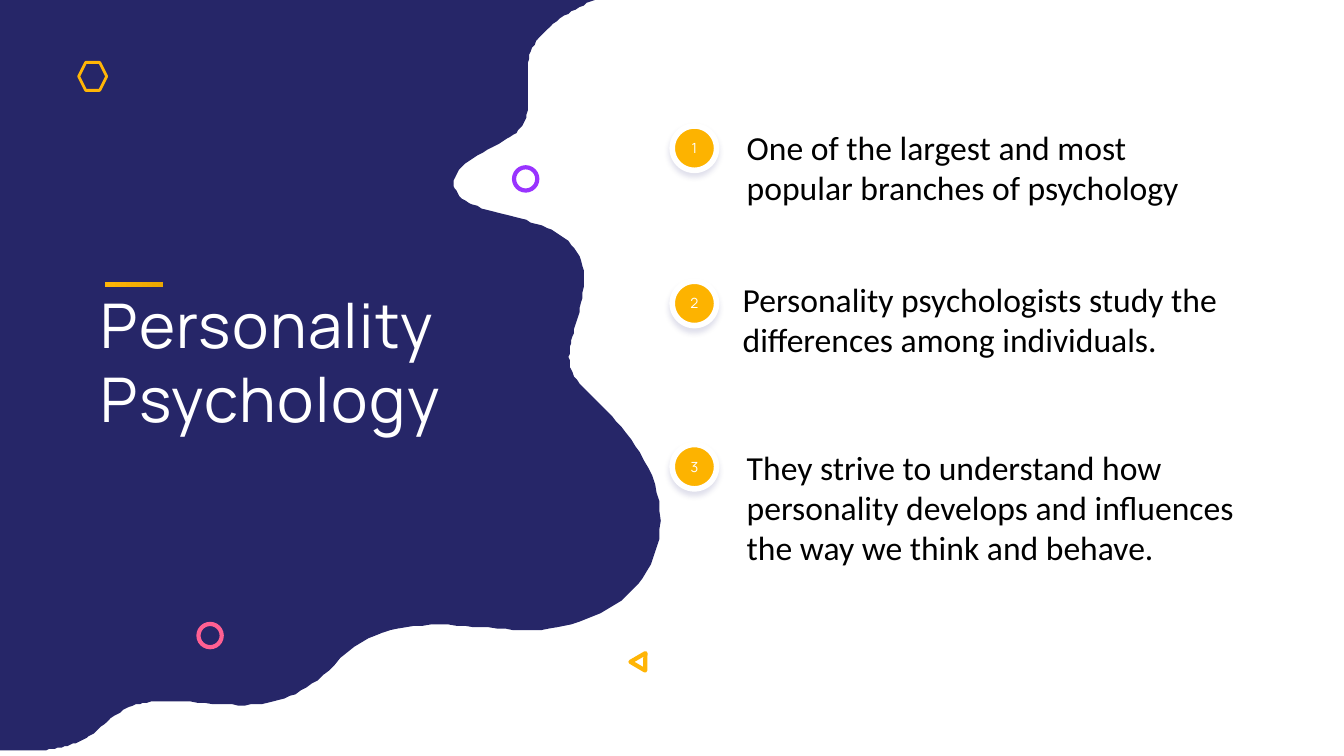
from dataclasses import dataclass

from lxml.etree import SubElement as Sub
from pptx import Presentation
from pptx.dml.color import RGBColor
from pptx.enum.shapes import MSO_SHAPE as Kind
from pptx.enum.text import MSO_ANCHOR as Anchor, MSO_AUTO_SIZE as Fit, PP_ALIGN as Align
from pptx.oxml.ns import qn
from pptx.util import Pt

NAVY = RGBColor(0x26, 0x26, 0x68)
WHITE = RGBColor(0xFF, 0xFF, 0xFF)
BLACK = RGBColor(0, 0, 0)
GOLD = RGBColor(0xFD, 0xB3, 0x00)
AMBER = RGBColor(0xFF, 0xB5, 0x06)
OCHRE = RGBColor(0xEA, 0xA7, 0x02)
PINK = RGBColor(0xFF, 0x60, 0x92)
VIOLET = RGBColor(0x99, 0x33, 0xFF)
SHADE = RGBColor(0x2D, 0x2D, 0x7D)

Box = tuple[float, float, float, float]
Point = tuple[float, float]


@dataclass
class Accent:
    kind: Kind
    box: Box
    color: RGBColor
    width: float = 3
    turn: float = 0


@dataclass
class Item:
    dot: float
    left: float
    top: float
    width: float
    height: float
    lines: tuple[str, ...]


ACCENTS = [
    Accent(Kind.OVAL, (141.8, 445.7, 16.6, 16.6), PINK),
    Accent(Kind.OVAL, (367.2, 119.5, 16.6, 16.6), VIOLET),
    Accent(Kind.ISOSCELES_TRIANGLE, (452.2, 465.8, 12.2, 10.8), AMBER, turn=30.4),
    Accent(Kind.HEXAGON, (56.2, 44.6, 20, 20), AMBER, width=2),
]

ITEMS = [
    Item(90, 526.3, 87.1, 358.6, 65.5,
         ("One of the largest and most popular branches of psychology",)),
    Item(200.9, 523.4, 195.8, 358.6, 65.5,
         ("Personality psychologists study the", "differences among individuals.")),
    Item(317.5, 526.3, 315.4, 375.8, 94.3,
         ("They strive to understand how personality develops and influences "
          "the way we think and behave.",)),
]

# Wave edge: start point, then two handles and an end point per curve
START = (23, 536.4)
CURVES = [
    ((38.2, 535.7), (58.3, 532.1), (69.8, 521.3)),
    ((90.7, 502.6), (97.9, 499), (141.1, 501.8)),
    ((184.3, 505.4), (208.1, 506.9), (243.4, 470.2)),
    ((278.6, 433.4), (335.5, 450), (376.6, 450)),
    ((416.9, 450), (471.6, 428.4), (471.6, 371.5)),
    ((471.6, 315.4), (418.3, 285.1), (409, 266.4)),
    ((400.3, 248.4), (416.9, 230.4), (416.9, 197.3)),
    ((416.9, 164.2), (378.7, 158.4), (347.8, 149.8)),
    ((316.1, 141.1), (316.1, 122.4), (348.5, 106.6)),
    ((380.9, 90.7), (377.3, 87.1), (377.3, 47.5)),
    ((377.3, 24.5), (403.2, 9.4), (424.8, 0)),
]
STEPS = 24

FRAME = {"word_wrap": True, "auto_size": Fit.NONE, "vertical_anchor": Anchor.TOP}
INSETS = dict.fromkeys(
    ("margin_left", "margin_right", "margin_top", "margin_bottom"), Pt(0))
HEAD = {"name": "Manrope", "size": Pt(44)}
BODY = {"name": "Calibri", "size": Pt(24)}
DIGIT = {"name": "Manrope", "size": Pt(10)}


def apply(target: object, values: dict) -> None:
    for name, value in values.items():
        setattr(target, name, value)


def place(box: Box) -> list[Pt]:
    return [Pt(v) for v in box]


def write(frame, lines: tuple[str, ...], font: dict, color: RGBColor,
          align: Align = Align.LEFT) -> None:
    for i, line in enumerate(lines):
        para = frame.add_paragraph() if i else frame.paragraphs[0]
        para.alignment = align
        run = para.add_run()
        run.text = line
        apply(run.font, font)
        run.font.color.rgb = color


def curve(a: Point, b: Point, c: Point, d: Point) -> list[Point]:
    def at(t: float, axis: int) -> float:
        u = 1 - t
        return (u ** 3 * a[axis] + 3 * u * u * t * b[axis]
                + 3 * u * t * t * c[axis] + t ** 3 * d[axis])
    return [(at(i / STEPS, 0), at(i / STEPS, 1)) for i in range(1, STEPS + 1)]


def draw_wave(slide):
    points = [(0, 536.4), START]
    for bend in CURVES:
        points += curve(points[-1], *bend)
    pen = slide.shapes.build_freeform(0, 0, scale=Pt(1))
    pen.add_line_segments(points, close=True)
    wave = pen.convert_to_shape()
    wave.shadow.inherit = False
    wave.fill.solid()
    wave.fill.fore_color.rgb = NAVY
    wave.line.fill.background()
    return wave


def draw_accent(slide, mark: Accent) -> None:
    shape = slide.shapes.add_shape(mark.kind, *place(mark.box))
    shape.shadow.inherit = False
    shape.rotation = mark.turn
    shape.fill.background()
    shape.line.color.rgb = mark.color
    shape.line.width = Pt(mark.width)


def draw_dot(slide, top: float, label: str) -> None:
    dot = slide.shapes.add_shape(Kind.OVAL, *place((480.2, top, 31.7, 31.7)))
    dot.shadow.inherit = False
    dot.fill.solid()
    dot.fill.fore_color.rgb = GOLD
    dot.line.color.rgb = WHITE
    dot.line.width = Pt(4)
    # Soft shadow below the dot
    effect = dot._element.spPr.find(qn("a:effectLst"))
    outer = Sub(effect, qn("a:outerShdw"), blurRad=str(Pt(4)), dist=str(Pt(3)),
                dir="5400000", algn="t", rotWithShape="0")
    tint = Sub(outer, qn("a:srgbClr"), val=str(SHADE))
    Sub(tint, qn("a:alpha"), val="14000")
    frame = dot.text_frame
    apply(frame, INSETS | {"vertical_anchor": Anchor.MIDDLE})
    write(frame, (label,), DIGIT, WHITE, Align.CENTER)


def draw_item(slide, index: int, item: Item) -> None:
    draw_dot(slide, item.dot, str(index))
    box = slide.shapes.add_textbox(
        *place((item.left, item.top, item.width, item.height)))
    apply(box.text_frame, FRAME)
    write(box.text_frame, item.lines, BODY, BLACK)


def draw_bar(slide) -> None:
    bar = slide.shapes.add_shape(Kind.RECTANGLE, *place((74.9, 201.6, 41.4, 3.6)))
    bar.shadow.inherit = False
    bar.line.fill.background()
    bar.fill.gradient()
    bar.fill.gradient_angle = 0
    for stop, color in zip(bar.fill.gradient_stops, (AMBER, OCHRE)):
        stop.color.rgb = color


def main() -> None:
    deck = Presentation()
    apply(deck, {"slide_width": Pt(960), "slide_height": Pt(540)})
    slide = deck.slides.add_slide(deck.slide_layouts[5])

    # Title over the wave
    title = slide.shapes.title
    apply(title, dict(zip(("left", "top", "width", "height"),
                          place((64.8, 201.6, 293.8, 113.8)))))
    apply(title.text_frame, FRAME)
    write(title.text_frame, ("Personality Psychology",), HEAD, WHITE)
    run = title.text_frame.paragraphs[0].runs[0]
    run.font._element.set("spc", "100")
    title._element.addprevious(draw_wave(slide)._element)

    # Small outlined marks
    for mark in ACCENTS:
        draw_accent(slide, mark)

    # Numbered points
    for index, item in enumerate(ITEMS, 1):
        draw_item(slide, index, item)

    draw_bar(slide)
    deck.save("out.pptx")


if __name__ == "__main__":
    main()
